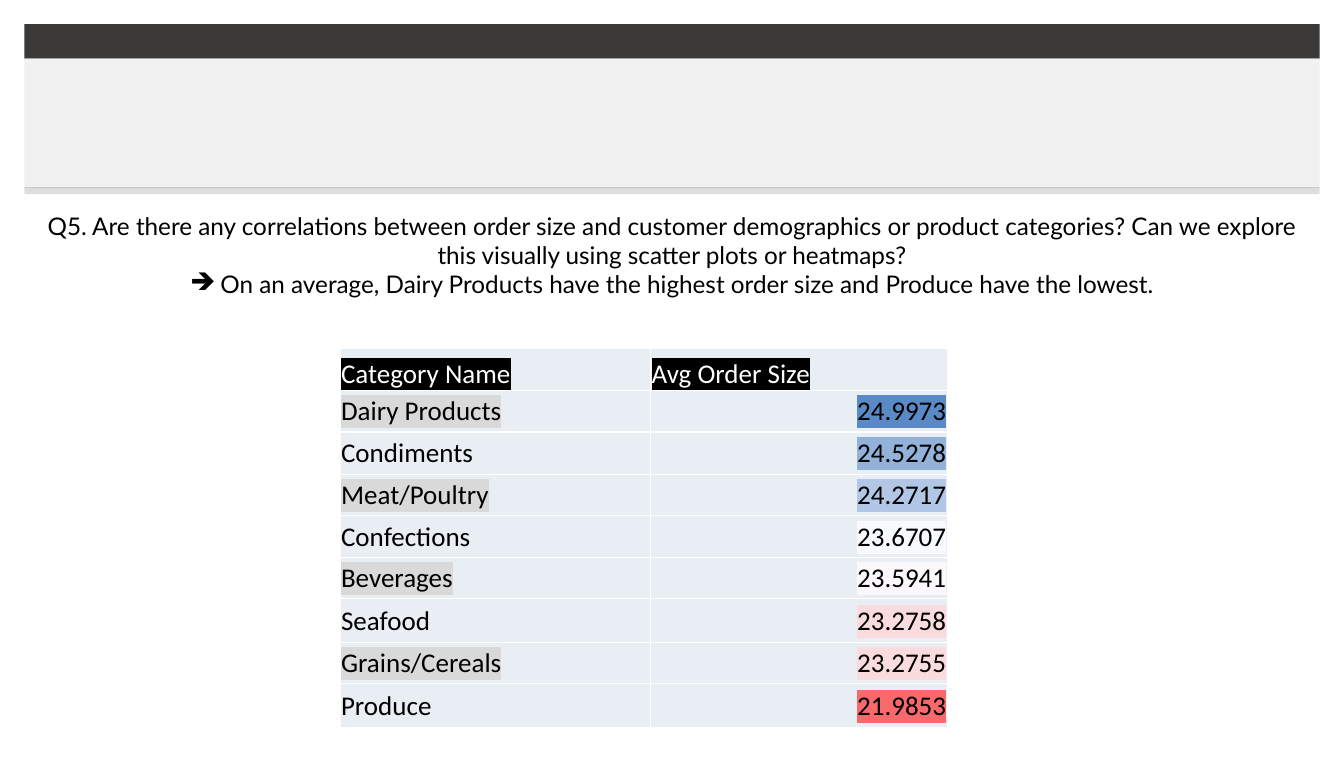
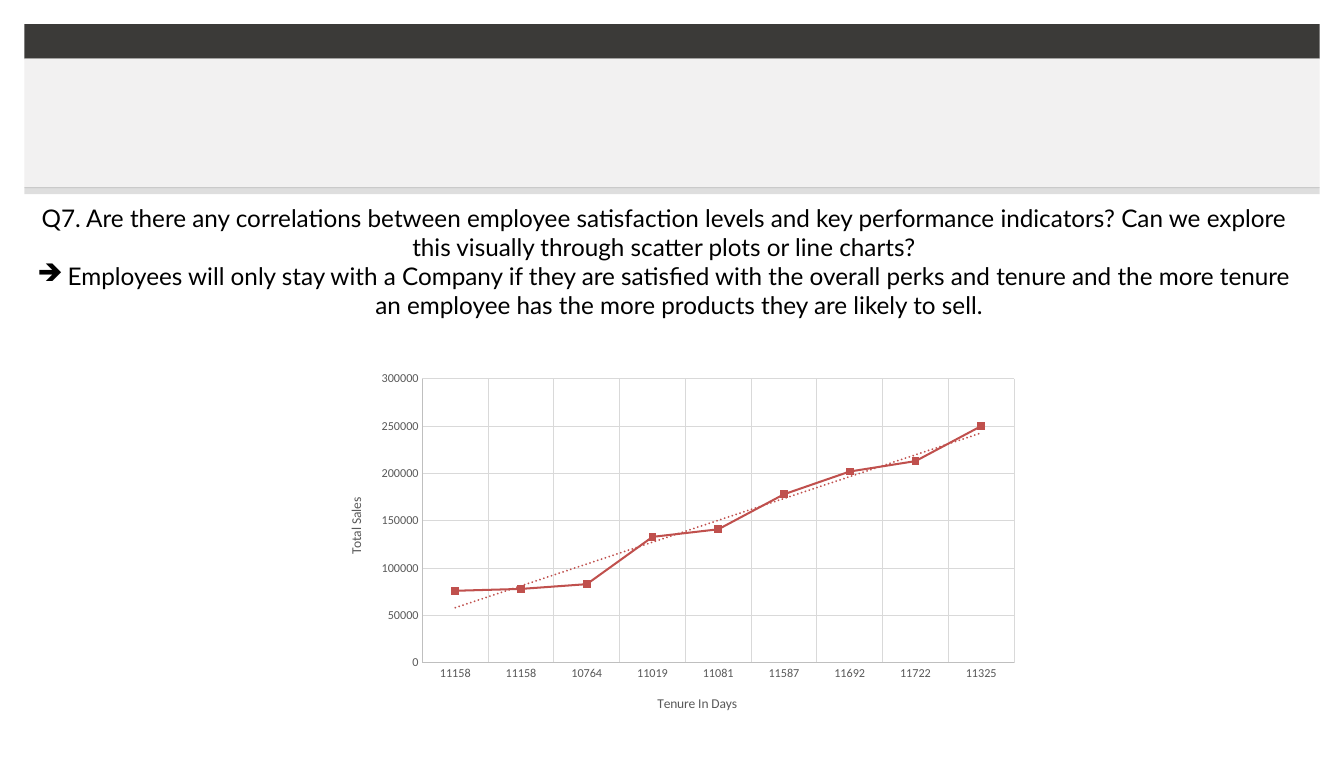
"""Build two analysis slides: order size by category and sales by tenure."""
from lxml import etree
from pptx import Presentation
from pptx.chart.data import CategoryChartData
from pptx.dml.color import RGBColor
from pptx.enum.chart import XL_CHART_TYPE, XL_TICK_MARK
from pptx.enum.shapes import MSO_SHAPE
from pptx.enum.text import MSO_ANCHOR, PP_ALIGN
from pptx.oxml import parse_xml
from pptx.oxml.ns import nsdecls, qn
from pptx.util import Pt

PX = 9525
LINE = XL_CHART_TYPE.LINE
NO_TICKS = XL_TICK_MARK.NONE
RECTANGLE = MSO_SHAPE.RECTANGLE
MIDDLE, BOTTOM = MSO_ANCHOR.MIDDLE, MSO_ANCHOR.BOTTOM
LEFT, CENTER, RIGHT = PP_ALIGN.LEFT, PP_ALIGN.CENTER, PP_ALIGN.RIGHT

BLACK = RGBColor(0x00, 0x00, 0x00)
WHITE = RGBColor(0xFF, 0xFF, 0xFF)
CHARCOAL = RGBColor(0x3B, 0x3A, 0x38)
PALE_GREY = RGBColor(0xF2, 0xF1, 0xF1)
NAME_GREY = RGBColor(0xD9, 0xD9, 0xD9)
CELL_BLUE = RGBColor(0xE9, 0xED, 0xF4)
AXIS_TEXT = RGBColor(0x59, 0x59, 0x59)
AXIS_LINE = RGBColor(0xBF, 0xBF, 0xBF)
GRID_LINE = RGBColor(0xD9, 0xD9, 0xD9)
SALES_RED = RGBColor(0xC0, 0x50, 0x4D)

QUESTION_FONT, DATA_FONT = "Lato", "Calibri"

# top, height, colour, opacity in percent
BANDS = [
    (24, 34, CHARCOAL, 100),
    (58, 1, BLACK, 11),
    (185, 1, BLACK, 11),
    (185, 7, BLACK, 13),
    (58, 127, PALE_GREY, 100),
]

ORDER_QUESTION = (
    "Q5. Are there any correlations between order size and customer demographics or product "
    "categories? Can we explore this visually using scatter plots or heatmaps?",
    "On an average, Dairy Products have the highest order size and Produce have the lowest.",
)
TENURE_QUESTION = (
    "Q7. Are there any correlations between employee satisfaction levels and key performance "
    "indicators? Can we explore this visually through scatter plots or line charts?",
    "Employees will only stay with a Company if they are satisfied with the overall perks and "
    "tenure and the more tenure an employee has the more products they are likely to sell.",
)

HEADINGS = ("Category Name", "Avg Order Size")
ORDER_SIZES = [
    ("Dairy Products", "24.9973", "5A8AC6"),
    ("Condiments", "24.5278", "92B2DA"),
    ("Meat/Poultry", "24.2717", "B1C7E5"),
    ("Confections", "23.6707", "F8F9FE"),
    ("Beverages", "23.5941", "FBF8FB"),
    ("Seafood", "23.2758", "FBDCDE"),
    ("Grains/Cereals", "23.2755", "FBDCDE"),
    ("Produce", "21.9853", "F8696B"),
]
COLUMN_WIDTHS = (307, 293)
ROW_HEIGHTS = (42, 41, 42, 41, 41, 41, 43, 41, 43)

TENURE_SALES = [
    ("11158", 76000), ("11158", 78000), ("10764", 83000),
    ("11019", 133000), ("11081", 141000), ("11587", 178000),
    ("11692", 202000), ("11722", 213000), ("11325", 250000),
]


def scaled(*lengths):
    return [length * PX for length in lengths]


def add_bands(page):
    for top, height, colour, opacity in BANDS:
        band = page.shapes.add_shape(RECTANGLE, *scaled(24, top, 1280, height))
        band.shadow.inherit = False
        band.line.fill.background()
        band.fill.solid()
        band.fill.fore_color.rgb = colour
        if opacity < 100:
            tint = band.element.spPr.find(f"{qn('a:solidFill')}/{qn('a:srgbClr')}")
            etree.SubElement(tint, qn("a:alpha"), val=str(opacity * 1000))


def add_table(page, left, top, widths, heights):
    frame = page.shapes.add_table(
        len(heights), len(widths), *scaled(left, top, sum(widths), sum(heights)))
    table = frame.table
    table.first_row = table.horz_banding = False
    for column, width in zip(table.columns, widths):
        column.width = width * PX
    for row, height in zip(table.rows, heights):
        row.height = height * PX
    return table


def format_cell(cell, colour, anchor):
    cell.fill.solid()
    cell.fill.fore_color.rgb = colour
    cell.vertical_anchor = anchor
    cell.margin_left = cell.margin_right = cell.margin_top = PX
    cell.margin_bottom = 0


def add_question(page, left, top, width, height, texts):
    cell = add_table(page, left, top, [width], [height]).cell(0, 0)
    format_cell(cell, WHITE, BOTTOM)
    cell.text = "\n".join(texts)
    for para in cell.text_frame.paragraphs:
        para.alignment = CENTER
        para.font.name, para.font.size = QUESTION_FONT, Pt(18)
        para.font.color.rgb = BLACK
    answer = cell.text_frame.paragraphs[1]._p.get_or_add_pPr()
    answer.set("marL", str(30 * PX))
    answer.set("indent", str(-30 * PX))
    answer.insert(0, parse_xml(f'<a:buChar {nsdecls("a")} char="➔"/>'))


def fill_data_cell(cell, text, colour, highlight, align, anchor):
    format_cell(cell, CELL_BLUE, anchor)
    para = cell.text_frame.paragraphs[0]
    para.alignment = align
    para.font.name, para.font.size = DATA_FONT, Pt(20)
    span = para.add_run()
    span.text = text
    span.font.color.rgb = colour
    if highlight:
        fill = span._r.get_or_add_rPr().find(qn("a:solidFill"))
        fill.addnext(parse_xml(
            f'<a:highlight {nsdecls("a")}><a:srgbClr val="{highlight}"/></a:highlight>'))


def add_order_sizes(page):
    table = add_table(page, 336, 344, COLUMN_WIDTHS, ROW_HEIGHTS)
    for column, heading in enumerate(HEADINGS):
        fill_data_cell(table.cell(0, column), heading, WHITE, BLACK, LEFT, BOTTOM)
    for row, (name, size, heat) in enumerate(ORDER_SIZES, 1):
        shade = NAME_GREY if row % 2 else None
        fill_data_cell(table.cell(row, 0), name, BLACK, shade, LEFT, MIDDLE)
        fill_data_cell(table.cell(row, 1), size, BLACK, heat, RIGHT, MIDDLE)


def set_layout(parent, index, target="", **fractions):
    old = parent.find(qn("c:layout"))
    if old is not None:
        parent.remove(old)
    parts = [("layoutTarget", target)] if target else []
    parts += [("xMode", "edge"), ("yMode", "edge"), *fractions.items()]
    body = "".join(f'<c:{tag} val="{value}"/>' for tag, value in parts)
    parent.insert(index, parse_xml(
        f'<c:layout {nsdecls("c")}><c:manualLayout>{body}</c:manualLayout></c:layout>'))


def set_line(line, colour, width):
    line.color.rgb, line.width = colour, Pt(width)


def format_axis(axis, title, turn, x, y):
    axis.major_tick_mark = axis.minor_tick_mark = NO_TICKS
    axis.has_major_gridlines = True
    set_line(axis.major_gridlines.format.line, GRID_LINE, 0.75)
    set_line(axis.format.line, AXIS_LINE, 0.75)
    axis.tick_labels.font.size = Pt(9)
    axis.tick_labels.font.color.rgb = AXIS_TEXT
    frame = axis.axis_title.text_frame
    frame.text = title
    font = frame.paragraphs[0].font
    font.name, font.size, font.bold = DATA_FONT, Pt(10), False
    font.color.rgb = AXIS_TEXT
    element = axis.axis_title.element
    element.find(f".//{qn('a:bodyPr')}").set("rot", str(turn * 60000))
    set_layout(element, 1, x=x, y=y)


def add_sales_chart(page):
    data = CategoryChartData()
    data.categories = [days for days, sales in TENURE_SALES]
    data.add_series("Series 1", [sales for days, sales in TENURE_SALES])
    chart = page.shapes.add_chart(LINE, *scaled(320, 360, 696, 360), data).chart
    chart.has_legend = chart.has_title = False
    chart.font.name, chart.font.size = DATA_FONT, Pt(10)
    chart.font.color.rgb = BLACK
    format_axis(chart.category_axis, "Tenure In Days", 0, 0.47, 0.9)
    format_axis(chart.value_axis, "Total Sales", -90, 0.03, 0.36)
    chart.value_axis.minimum_scale = 0
    chart.value_axis.maximum_scale = 300000
    chart.value_axis.major_unit = 50000
    plot_area = chart.element.find(f".//{qn('c:plotArea')}")
    set_layout(plot_area, 0, "inner", x=0.14, y=0.04, w=0.84, h=0.78)

    plot = chart.plots[0]
    plot.vary_by_categories = False
    series = plot.series[0]
    series.smooth = False
    set_line(series.format.line, SALES_RED, 1.5)
    series.marker.style = None
    plot_area.find(f".//{qn('c:ser')}/{qn('c:cat')}").addprevious(parse_xml(
        f'<c:trendline {nsdecls("c", "a")}><c:spPr><a:ln w="{Pt(1.5)}" cap="rnd">'
        f'<a:solidFill><a:srgbClr val="{SALES_RED}"/></a:solidFill>'
        '<a:prstDash val="sysDot"/></a:ln></c:spPr><c:trendlineType val="linear"/>'
        '<c:dispRSqr val="0"/><c:dispEq val="0"/></c:trendline>'))


def main():
    deck = Presentation()
    deck.slide_width, deck.slide_height = scaled(1328, 768)
    blank = deck.slide_layouts[6]

    orders = deck.slides.add_slide(blank)
    add_bands(orders)
    add_question(orders, 24, 208, 1280, 87, ORDER_QUESTION)
    add_order_sizes(orders)

    tenure = deck.slides.add_slide(blank)
    add_bands(tenure)
    add_sales_chart(tenure)
    add_question(tenure, 24, 200, 1264, 116, TENURE_QUESTION)

    deck.save("out.pptx")


if __name__ == "__main__":
    main()
